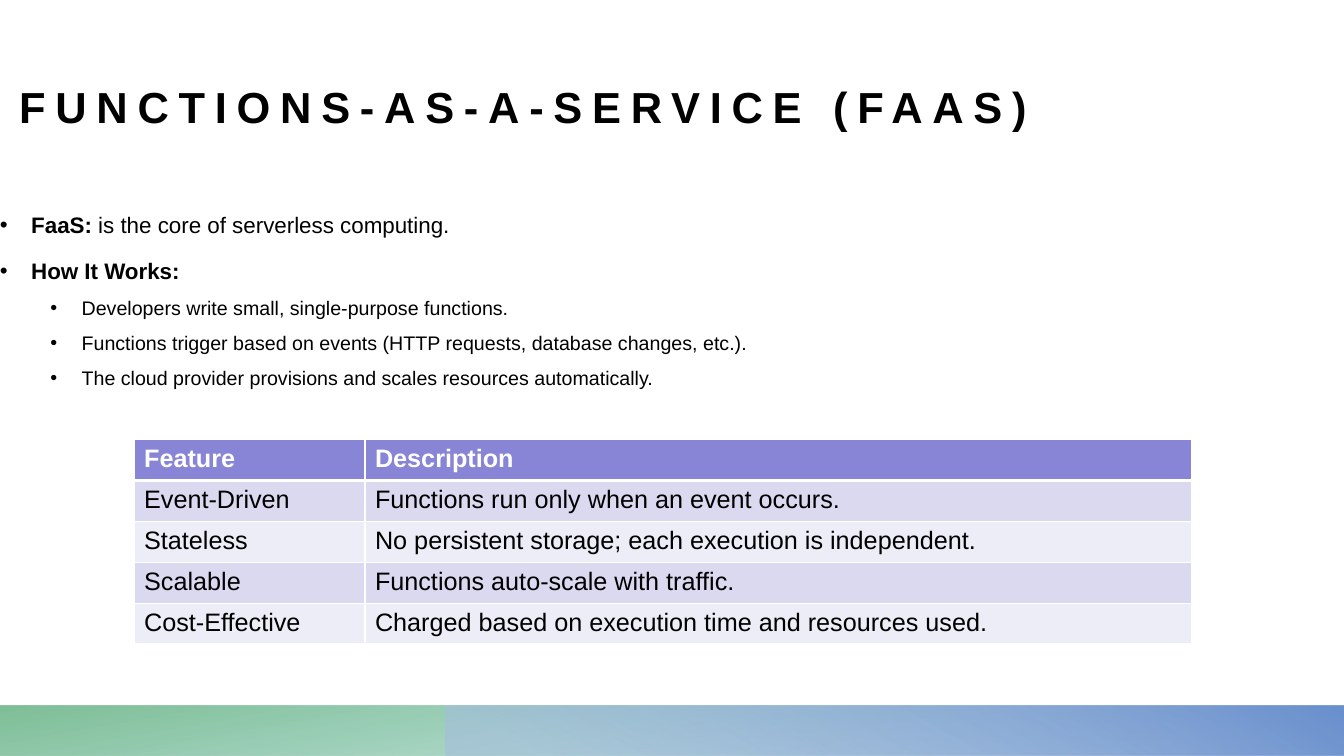
from dataclasses import dataclass

from lxml.etree import SubElement
from pptx import Presentation
from pptx.dml.color import RGBColor
from pptx.enum.shapes import MSO_SHAPE
from pptx.enum.text import MSO_ANCHOR
from pptx.oxml.ns import qn
from pptx.util import Inches, Pt

FONT = "Arial"
BLACK = RGBColor(0x00, 0x00, 0x00)
WHITE = RGBColor(0xFF, 0xFF, 0xFF)
HEADER_PURPLE = RGBColor(0x88, 0x85, 0xD7)
ROW_LILAC = RGBColor(0xDA, 0xD9, 0xF0)
ROW_PALE = RGBColor(0xED, 0xED, 0xF8)
TEAL = RGBColor(0x5D, 0xB4, 0xA2)
GREEN = RGBColor(0x68, 0xB4, 0x84)
PALE_BLUE = RGBColor(0xA6, 0xBC, 0xE2)
BLUE = RGBColor(0x6A, 0x90, 0xCE)


@dataclass
class GradientStop:
    position: int
    color: RGBColor
    opacity: int = 100


@dataclass
class Band:
    left: float
    width: float
    rotation: int
    angle: int
    stops: list[GradientStop]


@dataclass
class Bullet:
    bold_text: str
    text: str
    level: int = 0


BANDS = [
    Band(0, 13.33, 180, 100, [GradientStop(14, TEAL, 28), GradientStop(100, GREEN, 85)]),
    Band(4.42, 8.92, 0, 240, [GradientStop(9, PALE_BLUE, 55), GradientStop(99, BLUE)]),
]
BULLETS = [
    Bullet("FaaS:", " is the core of serverless computing."),
    Bullet("How It Works:", ""),
    Bullet("", "Developers write small, single-purpose functions.", 1),
    Bullet("", "Functions trigger based on events (HTTP requests, database changes, etc.).", 1),
    Bullet("", "The cloud provider provisions and scales resources automatically.", 1),
]
FEATURES = [
    ("Feature", "Description"),
    ("Event-Driven", "Functions run only when an event occurs."),
    ("Stateless", "No persistent storage; each execution is independent."),
    ("Scalable", "Functions auto-scale with traffic."),
    ("Cost-Effective", "Charged based on execution time and resources used."),
]


def style_font(font, size: float, color: RGBColor = BLACK, bold: bool = False) -> None:
    font.name = FONT
    font.size = Pt(size)
    font.color.rgb = color
    font.bold = bold


def add_band(slide, band: Band) -> None:
    shape = slide.shapes.add_shape(
        MSO_SHAPE.RECTANGLE, Inches(band.left), Inches(7), Inches(band.width), Inches(0.5)
    )
    shape.shadow.inherit = False
    shape.line.fill.background()
    shape.rotation = band.rotation
    properties = shape._element.spPr
    properties.find(qn("a:xfrm")).set("flipH", "1")
    gradient = SubElement(properties, qn("a:gradFill"), rotWithShape="1")
    properties.find(qn("a:prstGeom")).addnext(gradient)
    stop_list = SubElement(gradient, qn("a:gsLst"))
    for stop in band.stops:
        element = SubElement(stop_list, qn("a:gs"), pos=str(stop.position * 1000))
        color = SubElement(element, qn("a:srgbClr"), val=str(stop.color))
        SubElement(color, qn("a:alpha"), val=str(stop.opacity * 1000))
    SubElement(gradient, qn("a:lin"), ang=str(band.angle * 60000), scaled="0")


def add_text_frame(slide, left: float, top: float, width: float, height: float):
    box = slide.shapes.add_textbox(Inches(left), Inches(top), Inches(width), Inches(height))
    frame = box.text_frame
    frame.word_wrap = True
    frame.margin_left = frame.margin_right = frame.margin_top = frame.margin_bottom = 0
    return frame


def add_title(slide, text: str) -> None:
    frame = add_text_frame(slide, 0.19, 0.41, 13.14, 0.9)
    frame.vertical_anchor = MSO_ANCHOR.BOTTOM
    paragraph = frame.paragraphs[0]
    run = paragraph.add_run()
    run.text = text
    style_font(run.font, 31, bold=True)
    run.font._element.set("spc", "700")


def add_bullets(slide, bullets: list[Bullet]) -> None:
    frame = add_text_frame(slide, 0, 2.04, 13.14, 3.87)
    for index, bullet in enumerate(bullets):
        paragraph = frame.add_paragraph() if index else frame.paragraphs[0]
        paragraph.level = bullet.level
        paragraph.line_spacing = 1.2
        paragraph.space_before = Pt(5 if bullet.level else 10)
        style_font(paragraph.font, 14 if bullet.level else 16)
        properties = paragraph._element.get_or_add_pPr()
        properties.set("marL", str(Inches(0.31 + 0.5 * bullet.level)))
        properties.set("indent", str(Inches(-0.31)))
        bullet_font = SubElement(properties, qn("a:buFont"), typeface=FONT)
        bullet_character = SubElement(properties, qn("a:buChar"), char="•")
        properties.find(qn("a:defRPr")).addprevious(bullet_font)
        bullet_font.addnext(bullet_character)
        for text, bold in ((bullet.bold_text, True), (bullet.text, False)):
            if text:
                run = paragraph.add_run()
                run.text = text
                style_font(run.font, 14 if bullet.level else 16, bold=bold)


def set_borders(cell, bottom_width: float) -> None:
    properties = cell._tc.get_or_add_tcPr()
    widths = {"a:lnL": 1, "a:lnR": 1, "a:lnT": 1, "a:lnB": bottom_width}
    for index, (tag, width) in enumerate(widths.items()):
        line = SubElement(properties, qn(tag), w=str(Pt(width)))
        fill = SubElement(line, qn("a:solidFill"))
        SubElement(fill, qn("a:srgbClr"), val=str(WHITE))
        properties.insert(index, line)


def add_feature_table(slide, rows: list[tuple[str, str]]) -> None:
    table = slide.shapes.add_table(
        len(rows), 2, Inches(1.33), Inches(4.36), Inches(10.49), Inches(2.03)
    ).table
    for column, width in zip(table.columns, (2.29, 8.2)):
        column.width = Inches(width)
    for row_index, texts in enumerate(rows):
        header = row_index == 0
        row_color = HEADER_PURPLE if header else (ROW_PALE, ROW_LILAC)[row_index % 2]
        for column_index, text in enumerate(texts):
            cell = table.cell(row_index, column_index)
            cell.text = text
            cell.fill.solid()
            cell.fill.fore_color.rgb = row_color
            set_borders(cell, 3 if header else 1)
            run = cell.text_frame.paragraphs[0].runs[0]
            style_font(run.font, 18, WHITE if header else BLACK, header)


def main() -> None:
    presentation = Presentation()
    presentation.slide_width = Inches(13.33)
    presentation.slide_height = Inches(7.5)
    slide = presentation.slides.add_slide(presentation.slide_layouts[6])

    # Footer bands
    for band in BANDS:
        add_band(slide, band)

    # Title and explanation
    add_title(slide, "FUNCTIONS-AS-A-SERVICE (FAAS)")
    add_bullets(slide, BULLETS)

    # Feature overview
    add_feature_table(slide, FEATURES)

    presentation.save("out.pptx")


if __name__ == "__main__":
    main()
